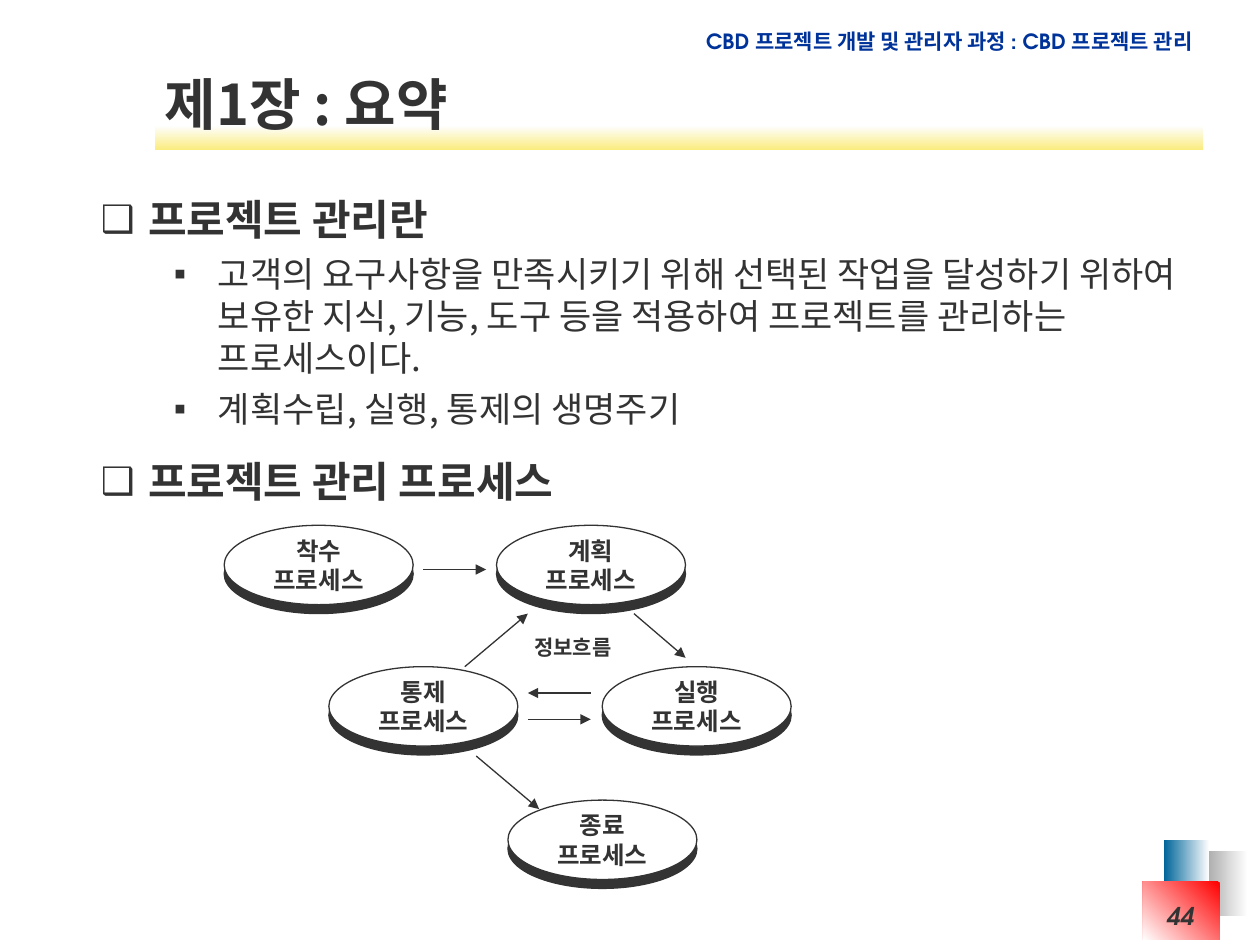
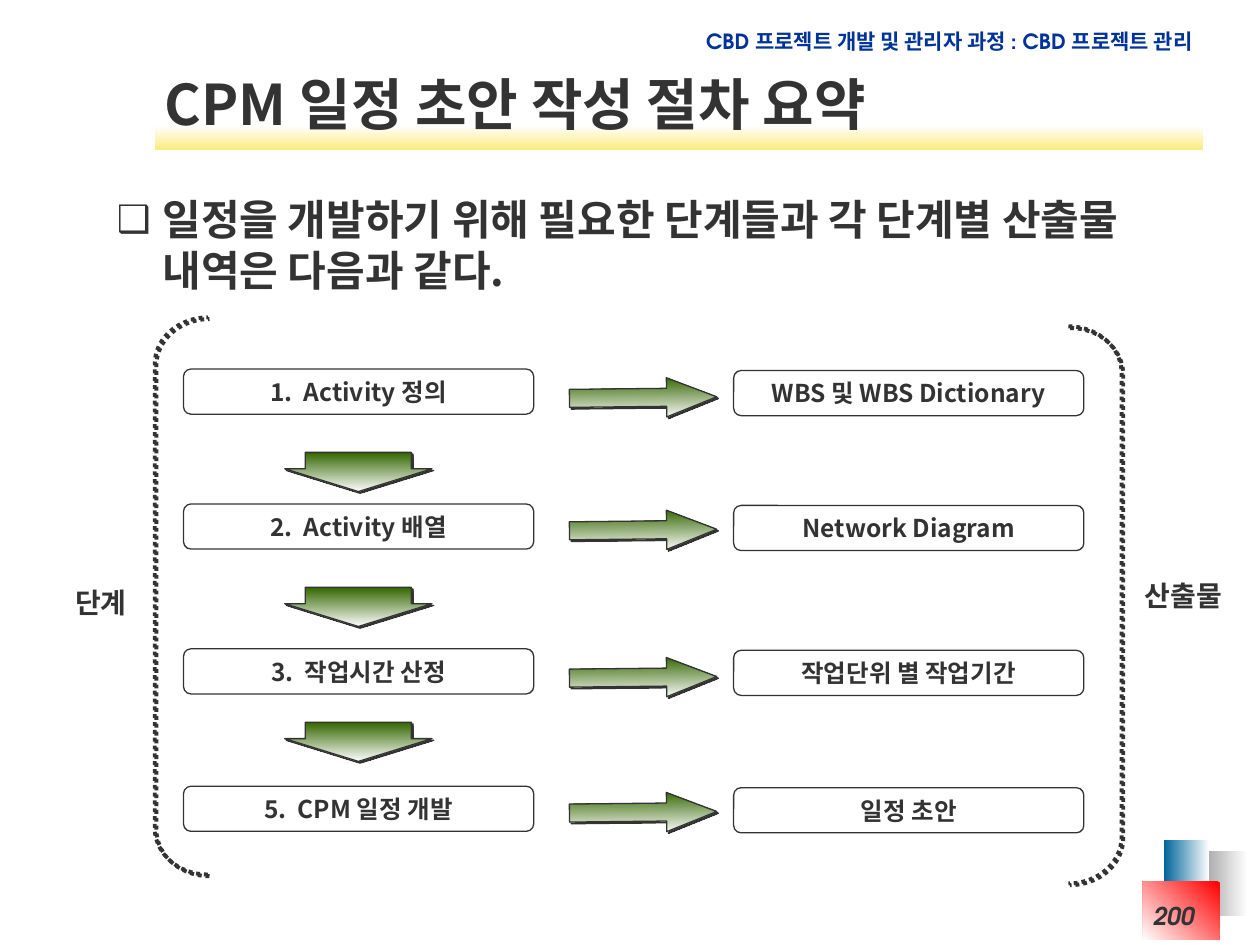
from lxml import etree
from pptx import Presentation
from pptx.dml.color import RGBColor
from pptx.enum.dml import MSO_LINE
from pptx.enum.shapes import MSO_CONNECTOR, MSO_SHAPE
from pptx.enum.text import MSO_ANCHOR, MSO_AUTO_SIZE, PP_ALIGN
from pptx.oxml.ns import qn
from pptx.util import Cm, Pt

RECTANGLE, ROUNDED, OVAL = MSO_SHAPE.RECTANGLE, MSO_SHAPE.ROUNDED_RECTANGLE, MSO_SHAPE.OVAL
RIGHT_ARROW, DOWN_ARROW = MSO_SHAPE.RIGHT_ARROW, MSO_SHAPE.DOWN_ARROW
LEFT_BRACKET, RIGHT_BRACKET = MSO_SHAPE.LEFT_BRACKET, MSO_SHAPE.RIGHT_BRACKET
STRAIGHT, DOTTED = MSO_CONNECTOR.STRAIGHT, MSO_LINE.ROUND_DOT
LEFT, CENTER, RIGHT = PP_ALIGN.LEFT, PP_ALIGN.CENTER, PP_ALIGN.RIGHT
TOP, MIDDLE = MSO_ANCHOR.TOP, MSO_ANCHOR.MIDDLE
FIXED = MSO_AUTO_SIZE.NONE

INK = RGBColor(0x33, 0x33, 0x33)
WHITE = RGBColor(0xFF, 0xFF, 0xFF)
NEAR_WHITE = RGBColor(0xFE, 0xFE, 0xFE)
GRAY = RGBColor(0x96, 0x96, 0x96)
TEAL = RGBColor(0x00, 0x66, 0x99)
RED = RGBColor(0xFF, 0x00, 0x00)
YELLOW = RGBColor(0xFB, 0xEC, 0x7F)
GREEN = RGBColor(0x33, 0x66, 0x00)
NAVY = RGBColor(0x00, 0x33, 0x99)

KOREAN_FONT = "Noto Sans CJK KR"
LATIN_FONT = "TeX Gyre Adventor"


# Helpers
def add_xml(parent, tag, **attributes):
    return etree.SubElement(parent, qn(tag), attributes)


def write(para, text, size=14, font=KOREAN_FONT, color=INK, bold=True, italic=False,
          align=LEFT, before=0):
    para.alignment = align
    para.space_before = Pt(before)
    span = para.add_run()
    span.text = text
    span.font.size = Pt(size)
    span.font.name = font
    span.font.bold = bold
    span.font.italic = italic
    span.font.color.rgb = color
    add_xml(span.font._element, "a:ea", typeface=KOREAN_FONT)


def write_lines(frame, text, anchor=MIDDLE, wrap=False, **style):
    frame.word_wrap = wrap
    frame.auto_size = FIXED
    frame.vertical_anchor = anchor
    for index, line in enumerate(text.split("\n")):
        write(frame.add_paragraph() if index else frame.paragraphs[0], line, **style)


def add_bullet(para, char, margin, indent, percent=100):
    props = para._p.get_or_add_pPr()
    props.set("marL", str(Cm(margin)))
    props.set("indent", str(Cm(indent)))
    add_xml(add_xml(props, "a:buClr"), "a:srgbClr", val=str(INK))
    add_xml(props, "a:buSzPct", val=str(percent * 1000))
    add_xml(props, "a:buChar", char=char)


def add_shape(page, kind, left, top, width, height, fill=None, line=INK):
    shape = page.shapes.add_shape(kind, Cm(left), Cm(top), Cm(width), Cm(height))
    shape.shadow.inherit = False
    if fill is None:
        shape.fill.background()
    else:
        shape.fill.solid()
        shape.fill.fore_color.rgb = fill
    if line is None:
        shape.line.fill.background()
    else:
        shape.line.color.rgb = line
        shape.line.width = Pt(0.75)
    return shape


def fill_gradient(shape, start, end, clockwise):
    shape.fill.gradient()
    shape.fill.gradient_angle = 360 - clockwise
    for stop, color, position in zip(shape.fill.gradient_stops, (start, end), (0, 1)):
        stop.color.rgb = color
        stop.position = position


def add_hard_shadow(shape):
    effects = shape._element.spPr.find(qn("a:effectLst"))
    shadow = add_xml(effects, "a:outerShdw", dist=str(Pt(1.4)), dir="2700000",
                     algn="ctr", rotWithShape="0")
    add_xml(shadow, "a:srgbClr", val=str(INK))


def add_label(page, text, left, top, width, height, **style):
    box = page.shapes.add_textbox(Cm(left), Cm(top), Cm(width), Cm(height))
    write_lines(box.text_frame, text, **{"anchor": TOP, **style})
    return box


def add_arrow(page, start, end):
    arrow = page.shapes.add_connector(STRAIGHT, *(Cm(value) for value in start + end))
    arrow.line.color.rgb = INK
    arrow.line.width = Pt(0.75)
    add_xml(arrow.line._get_or_add_ln(), "a:tailEnd", type="triangle")
    add_xml(arrow._element.spPr, "a:effectLst")


# Shared frame: placeholders, title band, header and corner blocks
def place_placeholders(layout):
    areas = ((3.07, 1.3, 21.13, 1.55), (1.78, 3.78, 22.48, 14.4))
    for holder, (left, top, width, height) in zip(layout.placeholders, areas):
        holder.left, holder.top = Cm(left), Cm(top)
        holder.width, holder.height = Cm(width), Cm(height)


def build_frame(page, layout):
    blocks = [
        ((24.13, 17.15, 1.02, 1.32), WHITE, GRAY, 180),
        ((23.47, 16.94, 0.91, 1.32), WHITE, TEAL, 180),
        ((23.04, 17.78, 1.55, 1.17), RED, WHITE, 135),
        ((3.12, 2.54, 21.13, 0.48), NEAR_WHITE, YELLOW, 90),
    ]
    parts = []
    for area, start, end, angle in blocks:
        block = add_shape(page, RECTANGLE, *area, line=None)
        fill_gradient(block, start, end, angle)
        parts.append(block)
    parts.append(add_label(page, "CBD 프로젝트 개발 및 관리자 과정 : CBD 프로젝트 관리",
                           13.72, 0.46, 10.57, 0.76, wrap=True, size=12,
                           font=LATIN_FONT, color=NAVY, align=RIGHT))
    # Move the parts to the layout, which every slide shows
    for number, part in enumerate(parts, 20):
        part._element.nvSpPr.cNvPr.set("id", str(number))
        layout.shapes._spTree.append(part._element)


def fill_page(page, title, number, items):
    write_lines(page.shapes.title.text_frame, title, wrap=True, size=32)
    frame = page.placeholders[1].text_frame
    frame.auto_size = FIXED
    for index, (text, level, before, margin, indent) in enumerate(items):
        para = frame.add_paragraph() if index else frame.paragraphs[0]
        para.level = level
        write(para, text, size=20 if level else 24, bold=not level, before=before)
        add_bullet(para, "▪" if level else "❑", margin, indent, 100 if level else 90)
    add_label(page, number, 21.21, 18.03, 3.12, 1.02, wrap=True, font=LATIN_FONT,
              italic=True, align=RIGHT)


# Project management process diagram
def draw_processes(page, left, top):
    width, height, depth = 3.81, 1.6, 0.18
    processes = [("착수", 0, 0), ("계획", 5.49, 0), ("통제", 2.11, 2.85),
                 ("실행", 7.62, 2.85), ("종료", 5.72, 5.54)]
    flows = [((4.01, 0.89), (5.28, 0.89)), ((4.85, 2.85), (6.12, 1.78)),
             ((8.26, 1.78), (9.3, 2.67)), ((7.39, 3.38), (6.12, 3.38)),
             ((6.12, 3.91), (7.39, 3.91)), ((5.08, 4.65), (6.35, 5.72))]
    for name, x, y in processes:
        add_shape(page, OVAL, left + x, top + y + depth, width, height, INK)
        disc = add_shape(page, OVAL, left + x, top + y, width, height, WHITE)
        write_lines(disc.text_frame, name + "\n프로세스", align=CENTER)
    for start, end in flows:
        add_arrow(page, (left + start[0], top + start[1]), (left + end[0], top + end[1]))
    add_label(page, "정보흐름", left + 6, top + 2.08, 2.06, 0.76, size=12, align=CENTER)


# Schedule steps with their outputs
def add_green_arrow(page, kind, area, shaft, head):
    arrow = add_shape(page, kind, *area)
    arrow.adjustments[0], arrow.adjustments[1] = shaft, head
    fill_gradient(arrow, GREEN, NEAR_WHITE, 90)
    add_hard_shadow(arrow)
    return arrow


def draw_steps(page, left, top):
    rows = [("1.  Activity 정의", "WBS 및 WBS Dictionary", 1.04, 1.22),
            ("2.  Activity 배열", "Network Diagram", 3.76, 3.89),
            ("3.  작업시간 산정", "작업단위 별 작업기간", 6.68, 6.86),
            ("5.  CPM 일정 개발", "일정 초안", 9.45, 9.58)]
    for step, output, box_y, arrow_y in rows:
        for text, x, y in ((step, 0.58, box_y), (output, 11.67, box_y + 0.03)):
            box = add_shape(page, ROUNDED, left + x, top + y, 7.06, 0.91, WHITE)
            write_lines(box.text_frame, text, align=CENTER)
        arrow = add_green_arrow(page, RIGHT_ARROW, (left + 8.36, top + arrow_y, 2.97, 0.79),
                                0.46, 1.28)
        arrow.rotation = 359.4
    for index in range(len(rows) - 1):
        add_green_arrow(page, DOWN_ARROW, (left + 2.62, top + 2.72 * (index + 1), 2.97, 0.79),
                        0.72, 0.58)

    # Dotted brackets and their labels
    for kind, x, y in ((LEFT_BRACKET, 0, 0), (RIGHT_BRACKET, 18.42, 0.18)):
        bracket = add_shape(page, kind, left + x, top + y, 1.07, 11.23)
        bracket.adjustments[0] = 0.88
        bracket.line.width = Pt(2.25)
        bracket.line.dash_style = DOTTED
        add_hard_shadow(bracket)
    add_label(page, "단계", left - 1.85, top + 5.28, 1.55, 0.94, size=16)
    add_label(page, "산출물", left + 19.71, top + 5.13, 2.06, 0.94, size=16)


def main():
    deck = Presentation()
    deck.slide_width, deck.slide_height = Cm(25.4), Cm(19.05)
    layout = deck.slide_layouts[1]
    place_placeholders(layout)

    summary = deck.slides.add_slide(layout)
    build_frame(summary, layout)
    fill_page(summary, "제1장 : 요약", "44", [
        ("프로젝트 관리란", 0, 6, 0.95, -0.95),
        ("고객의 요구사항을 만족시키기 위해 선택된 작업을 달성하기 위하여 보유한 지식, "
         "기능, 도구 등을 적용하여 프로젝트를 관리하는 프로세스이다.", 1, 5, 2.36, -0.89),
        ("계획수립, 실행, 통제의 생명주기", 1, 5, 2.36, -0.89),
        ("프로젝트 관리 프로세스", 0, 15, 0.95, -0.95),
    ])
    draw_processes(summary, 4.52, 10.59)

    schedule = deck.slides.add_slide(layout)
    fill_page(schedule, "CPM 일정 초안 작성 절차 요약", "200", [
        ("일정을 개발하기 위해 필요한 단계들과 각 단계별 산출물 내역은 다음과 같다.",
         0, 6, 1.24, -0.92),
    ])
    draw_steps(schedule, 3.12, 6.4)
    deck.save("out.pptx")


if __name__ == "__main__":
    main()
